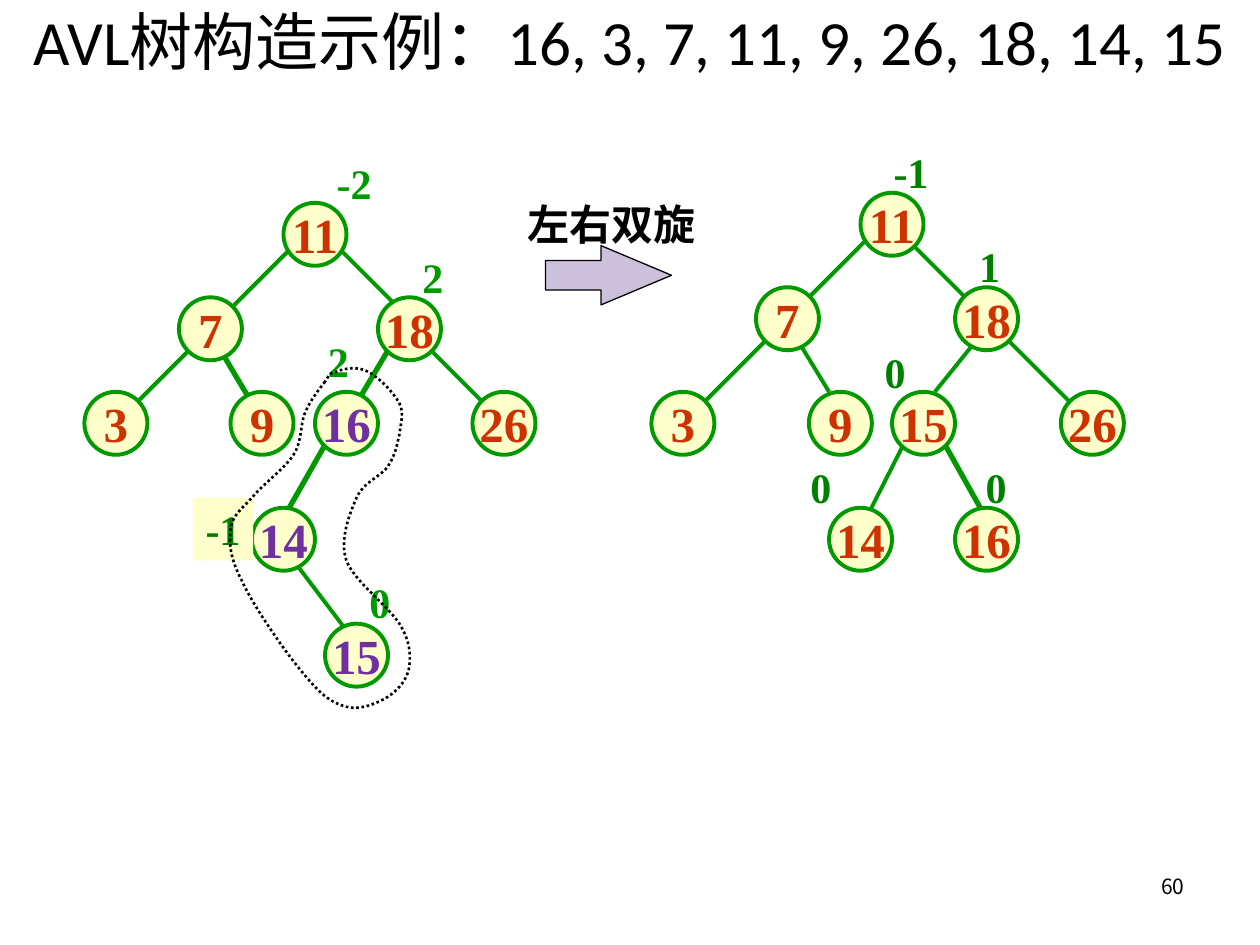
import dataclasses

import lxml.etree
import pptx
import pptx.dml.color
import pptx.enum.dml
import pptx.enum.shapes
import pptx.enum.text
import pptx.oxml
import pptx.oxml.ns
import pptx.util

ALIGN = pptx.enum.text.PP_ALIGN
ANCHOR = pptx.enum.text.MSO_ANCHOR
SHAPE = pptx.enum.shapes.MSO_SHAPE


@dataclasses.dataclass(frozen=True)
class Theme:
    title_font: str = "Calibri"
    tree_font: str = "Times New Roman"
    number_font: str = "Noto Sans CJK JP"
    title_size: float = 36
    key_size: float = 28
    label_size: float = 24
    number_size: float = 12
    edge: float = 2.25
    bold_edge: float = 3
    ink: str = "000000"
    green: str = "009900"
    dark_green: str = "008000"
    node: str = "FFFFCC"
    key: str = "CC3300"
    rotated_key: str = "7030A0"
    arrow: str = "CCC1DA"


THEME = Theme()
NODE_SIZE = 0.5
LABEL_HEIGHT = 0.5
LABEL_WIDTHS = {1: 0.37, 2: 0.48}

TITLE = "AVL树构造示例：16, 3, 7, 11, 9, 26, 18, 14, 15"
ROTATION = "左右双旋"
PAGE_NUMBER = "60"

BEFORE = {
    "nodes": [("11", 2.25, 1.61), ("7", 1.42, 2.36), ("18", 3, 2.36), ("3", 0.67, 3.11),
              ("9", 1.83, 3.11), ("16", 2.5, 3.11), ("26", 3.75, 3.11),
              ("14", 2, 4.03), ("15", 2.58, 4.95)],
    "rotated": {"16", "14", "15"},
    "edges": [(2.42, 1.86, 1.83, 2.45), (2.67, 1.95, 3.17, 2.45), (1.58, 2.7, 0.92, 3.36),
              (3.42, 2.78, 3.92, 3.28), (2.33, 4.45, 2.83, 5.11)],
    "bold_edges": [(2.58, 3.53, 2.25, 4.11), (1.75, 2.78, 2, 3.2), (3.08, 2.78, 2.83, 3.2)],
    "balances": [("-2", 2.57, 1.2), ("2", 3.25, 1.95), ("2", 2.5, 2.61), ("0", 2.83, 4.53)],
    "balance_color": THEME.green,
    "marked": [("-1", 1.53, 3.95)],
}
AFTER = {
    "nodes": [("11", 6.83, 1.53), ("7", 6, 2.28), ("18", 7.58, 2.28), ("3", 5.17, 3.11),
              ("9", 6.42, 3.11), ("15", 7.08, 3.11), ("26", 8.42, 3.11),
              ("14", 6.58, 4.03), ("16", 7.58, 4.03)],
    "rotated": set(),
    "edges": [(6.92, 1.86, 6.33, 2.45), (7.25, 1.95, 7.75, 2.45), (6.08, 2.7, 5.58, 3.2),
              (6.33, 2.7, 6.58, 3.11), (7.75, 2.7, 7.42, 3.11), (8, 2.7, 8.75, 3.45),
              (7.17, 3.53, 6.83, 4.2)],
    "bold_edges": [(7.5, 3.53, 7.92, 4.28)],
    "balances": [("-1", 6.99, 1.11), ("1", 7.67, 1.86), ("0", 6.92, 2.7),
                 ("0", 6.33, 3.61), ("0", 7.72, 3.61)],
    "balance_color": THEME.dark_green,
    "marked": [],
}
LOOP_START = (2.58, 3.03)
LOOP_CURVES = [
    (2.54, 3.08), (2.46, 3.18), (2.42, 3.28), (2.38, 3.38), (2.4, 3.5), (2.33, 3.61),
    (2.26, 3.72), (2.08, 3.85), (2, 3.95), (1.92, 4.04), (1.85, 4.08), (1.83, 4.2),
    (1.82, 4.31), (1.82, 4.42), (1.92, 4.61), (2.01, 4.81), (2.28, 5.2), (2.42, 5.36),
    (2.56, 5.53), (2.64, 5.58), (2.75, 5.61), (2.86, 5.64), (3, 5.58), (3.08, 5.53),
    (3.17, 5.47), (3.24, 5.38), (3.25, 5.28), (3.26, 5.18), (3.25, 5.08), (3.17, 4.95),
    (3.08, 4.81), (2.81, 4.61), (2.75, 4.45), (2.69, 4.28), (2.78, 4.07), (2.83, 3.95),
    (2.89, 3.82), (3.03, 3.78), (3.08, 3.7), (3.14, 3.61), (3.15, 3.53), (3.17, 3.45),
    (3.18, 3.36), (3.21, 3.28), (3.17, 3.2), (3.12, 3.11), (3, 2.99), (2.92, 2.95),
    (2.83, 2.9), (2.72, 2.93), (2.67, 2.95), (2.61, 2.96), (2.62, 2.97), LOOP_START,
]


def lengths(*inches):
    return [pptx.util.Cm(value * 2.54) for value in inches]


def rgb(code):
    return pptx.dml.color.RGBColor.from_string(code)


def write(shape, text, font=THEME.tree_font, size=THEME.label_size, color=THEME.ink,
          bold=True, align=ALIGN.CENTER, anchor=ANCHOR.TOP, wrap=False):
    frame = shape.text_frame
    frame.auto_size = pptx.enum.text.MSO_AUTO_SIZE.NONE
    frame.word_wrap = wrap
    frame.vertical_anchor = anchor
    para = frame.paragraphs[0]
    para.alignment = align
    span = para.add_run()
    span.text = text
    span.font.name = font
    span.font.size = pptx.util.Pt(size)
    span.font.bold = bold
    span.font.color.rgb = rgb(color)


def outline(shape, color, width):
    shape.line.color.rgb = rgb(color)
    shape.line.width = pptx.util.Pt(width)


def add_filled(shapes, preset, place, fill, line=None, width=THEME.edge):
    shape = shapes.add_shape(preset, *lengths(*place))
    shape.shadow.inherit = False
    shape.fill.solid()
    shape.fill.fore_color.rgb = rgb(fill)
    if line:
        outline(shape, line, width)
    else:
        shape.line.fill.background()
    return shape


def add_edge(shapes, ends, width):
    edge = shapes.add_connector(pptx.enum.shapes.MSO_CONNECTOR.STRAIGHT, *lengths(*ends))
    outline(edge, THEME.green, width)
    lxml.etree.SubElement(edge._element.spPr, pptx.oxml.ns.qn("a:effectLst"))


def label_place(text, left, top):
    return left, top, LABEL_WIDTHS[len(text)], LABEL_HEIGHT


def add_tree(page, tree):
    shapes = page.shapes.add_group_shape().shapes
    for kind, width in (("edges", THEME.edge), ("bold_edges", THEME.bold_edge)):
        for ends in tree[kind]:
            add_edge(shapes, ends, width)
    for key, left, top in tree["nodes"]:
        node = add_filled(shapes, SHAPE.OVAL, (left, top, NODE_SIZE, NODE_SIZE),
                          THEME.node, THEME.green)
        color = THEME.rotated_key if key in tree["rotated"] else THEME.key
        write(node, key, size=THEME.key_size, color=color, anchor=ANCHOR.MIDDLE)
    for text, left, top in tree["balances"]:
        box = shapes.add_textbox(*lengths(*label_place(text, left, top)))
        write(box, text, color=tree["balance_color"])
    for text, left, top in tree["marked"]:
        box = add_filled(shapes, SHAPE.RECTANGLE, label_place(text, left, top), THEME.node)
        write(box, text, color=THEME.dark_green)
    return shapes


def add_loop(shapes):
    builder = shapes.build_freeform(*lengths(*LOOP_START))
    builder.add_line_segments([lengths(*point) for point in LOOP_CURVES], close=True)
    loop = builder.convert_to_shape()
    loop.shadow.inherit = False
    loop.fill.background()
    outline(loop, THEME.ink, 1.5)
    loop.line.dash_style = pptx.enum.dml.MSO_LINE.ROUND_DOT
    segments = list(loop._element.iter(pptx.oxml.ns.qn("a:lnTo")))
    for index in range(0, len(LOOP_CURVES), 3):
        curve = pptx.oxml.parse_xml(
            f"<a:cubicBezTo {pptx.oxml.ns.nsdecls('a')}/>")
        segments[index].addprevious(curve)
        for segment in segments[index:index + 3]:
            curve.append(segment[0])
            segment.getparent().remove(segment)


def main():
    deck = pptx.Presentation()
    deck.slide_width, deck.slide_height = lengths(10, 7.5)
    page = deck.slides.add_slide(deck.slide_layouts[5])

    title = page.shapes.title
    title.left, title.top, title.width, title.height = lengths(0, -0.03, 10, 1.02)
    write(title, TITLE, font=THEME.title_font, size=THEME.title_size, bold=False, wrap=True)

    number = page.shapes.add_textbox(*lengths(7.17, 6.78, 2.33, 0.5))
    write(number, PAGE_NUMBER, font=THEME.number_font, size=THEME.number_size, bold=False,
          align=ALIGN.RIGHT, anchor=ANCHOR.MIDDLE, wrap=True)

    add_tree(page, AFTER)
    add_loop(add_tree(page, BEFORE))

    caption = page.shapes.add_textbox(*lengths(4.08, 1.53, 1.55, 0.5))
    write(caption, ROTATION)
    arrow = add_filled(page.shapes, SHAPE.RIGHT_ARROW, (4.33, 1.95, 1, 0.47),
                       THEME.arrow, THEME.ink, 0.75)
    arrow.adjustments[1] = 1.19

    deck.save("out.pptx")


if __name__ == "__main__":
    main()
